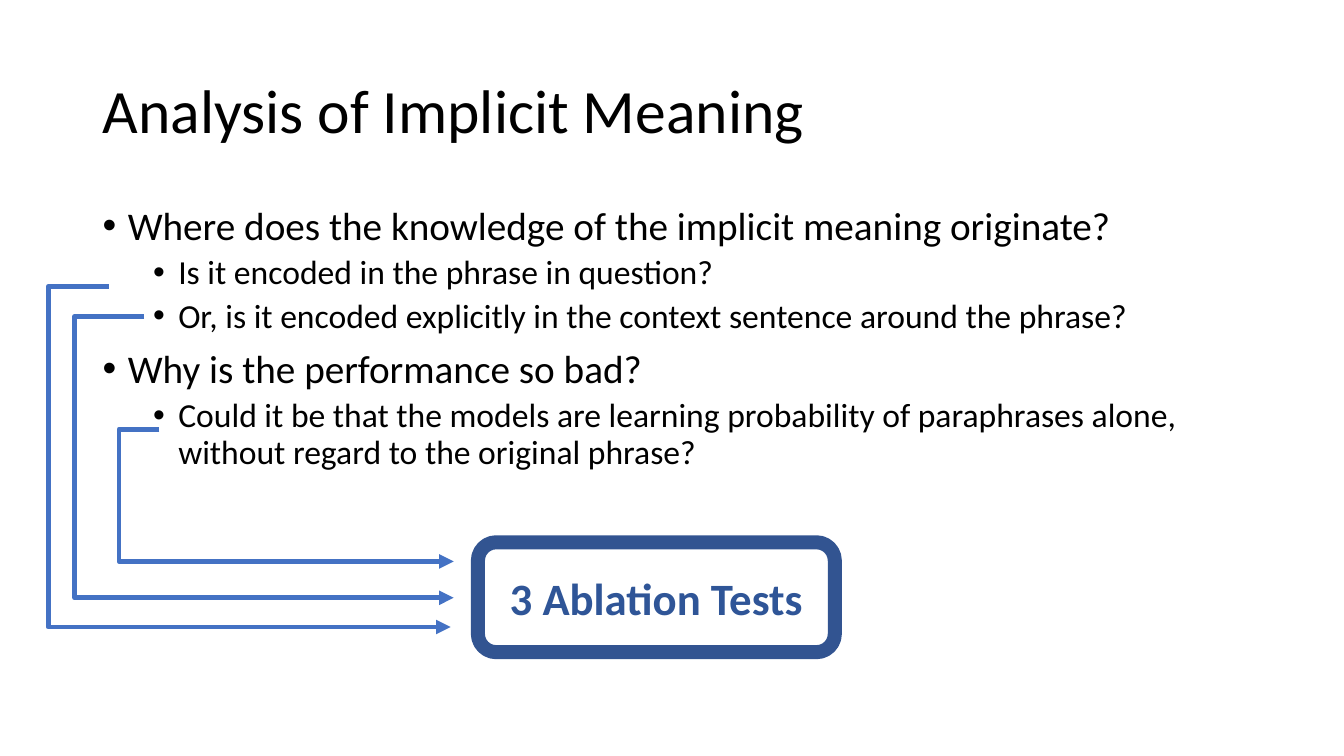
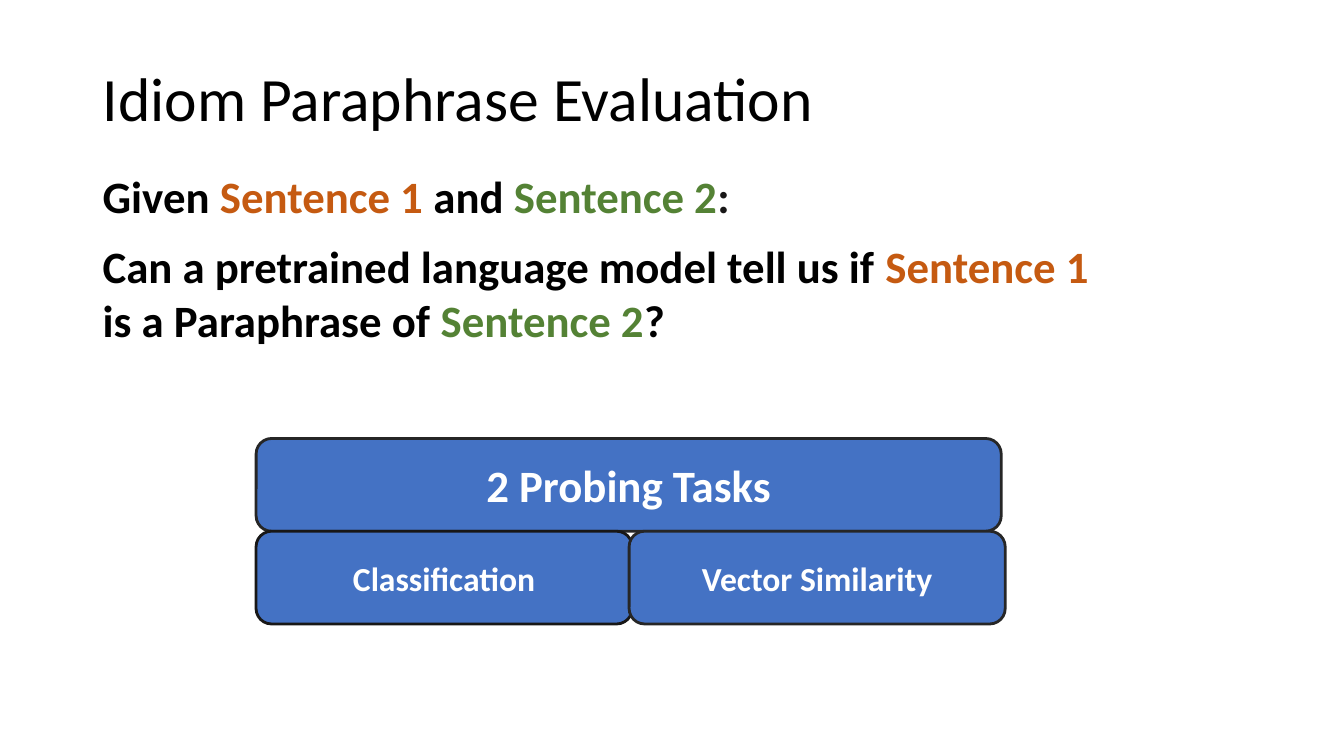
import pptx
import pptx.util
import pptx.dml.color
import pptx.enum.shapes
import pptx.enum.text
import pptx.oxml
import pptx.oxml.ns
from pptx.util import Inches

COLORS = {
    "black": "000000", "ink": "181717", "edge": "262626", "white": "FFFFFF",
    "blue": "4472C4", "frame": "325491", "navy": "2F5597",
    "rust": "C55A11", "green": "548235",
}
FONT = "Calibri"
MIDDLE = pptx.enum.text.MSO_ANCHOR.MIDDLE
CENTER = pptx.enum.text.PP_ALIGN.CENTER
LEFT = 0.92


def color(name):
    return pptx.dml.color.RGBColor.from_string(COLORS[name])


def node(parent, tag, **attrs):
    child = pptx.oxml.parse_xml(f"<a:{tag} {pptx.oxml.ns.nsdecls('a')}/>")
    for key, value in attrs.items():
        child.set(key, str(value))
    parent.append(child)


def write(frame, text, size=28, ink="black", bold=False, align=None,
          line=None, before=0, indent=None):
    """Add a paragraph; text is a string or a list of (string, color) runs.

    An indent, in inches, also gives the paragraph a hanging bullet.
    """
    first = frame.paragraphs[0]
    para = frame.add_paragraph() if first.runs else first
    para.alignment = align
    para.line_spacing = line
    if first.runs:
        para.space_before = pptx.util.Pt(before)
    if indent is not None:
        props = para._p.get_or_add_pPr()
        props.set("marL", str(Inches(indent)))
        props.set("indent", str(Inches(-0.25)))
        node(props, "buFont", typeface="Arial")
        node(props, "buChar", char="•")
    for part, tint in [(text, ink)] if isinstance(text, str) else text:
        run = para.add_run()
        run.text = part
        run.font.name = FONT
        run.font.size = pptx.util.Pt(size)
        run.font.bold = bold
        run.font.color.rgb = color(tint)


class Deck:
    def __init__(self):
        self.show = pptx.Presentation()
        self.show.slide_width = Inches(13.33)
        self.show.slide_height = Inches(7.5)
        self.slide = None

    def start(self, title, height):
        self.slide = self.show.slides.add_slide(self.show.slide_layouts[6])
        frame = self.box(LEFT, 0.4, 11.5, height)
        frame.vertical_anchor = MIDDLE
        write(frame, title, size=44, line=0.9)

    def box(self, left, top, width, height):
        shape = self.slide.shapes.add_textbox(
            Inches(left), Inches(top), Inches(width), Inches(height))
        shape.text_frame.word_wrap = True
        return shape.text_frame

    def bullets(self, frame, items):
        for level, text in items:
            write(frame, text, size=28 - 4 * level, line=0.9,
                  before=10 - 5 * level, indent=0.25 + 0.5 * level)

    def card(self, text, left, top, width, height, fill="blue", edge="edge",
             weight=2, size=24, ink="white"):
        shape = self.slide.shapes.add_shape(
            pptx.enum.shapes.MSO_SHAPE.ROUNDED_RECTANGLE,
            Inches(left), Inches(top), Inches(width), Inches(height))
        shape.shadow.inherit = False
        if fill:
            shape.fill.solid()
            shape.fill.fore_color.rgb = color(fill)
        else:
            shape.fill.background()
        shape.line.color.rgb = color(edge)
        shape.line.width = pptx.util.Pt(weight)
        frame = shape.text_frame
        frame.word_wrap = True
        frame.vertical_anchor = MIDDLE
        write(frame, text, size=size, ink=ink, bold=True, align=CENTER)

    def elbow(self, x1, y1, x2, y2, turn):
        """Draw an arrow that runs back to x = turn before it heads for x2."""
        link = self.slide.shapes.add_connector(
            pptx.enum.shapes.MSO_CONNECTOR.ELBOW,
            Inches(x1), Inches(y1), Inches(x2), Inches(y2))
        link.line.color.rgb = color("blue")
        link.line.width = pptx.util.Pt(3.5)
        node(link.get_or_add_ln(), "tailEnd", type="triangle")
        props = link.element.spPr
        node(props, "effectLst")
        ratio = round((turn - x1) / (x2 - x1) * 100000)
        guides = props.find(".//" + pptx.oxml.ns.qn("a:avLst"))
        node(guides, "gd", name="adj1", fmla=f"val {ratio}")


def analysis(deck):
    deck.start("Analysis of Implicit Meaning", 1.45)
    deck.bullets(deck.box(LEFT, 2, 11.5, 2.96), [
        (0, "Where does the knowledge of the implicit meaning originate?"),
        (1, "Is it encoded in the phrase in question?"),
        (1, "Or, is it encoded explicitly in the context sentence around "
            "the phrase?"),
        (0, "Why is the performance so bad?"),
        (1, "Could it be that the models are learning probability of "
            "paraphrases alone, without regard to the original phrase?"),
    ])
    deck.card("3 Ablation Tests", 4.74, 5.38, 3.54, 1.09, fill=None,
              edge="frame", weight=10, size=32, ink="navy")
    for x1, y1, x2, y2, turn in [(1.58, 4.26, 4.5, 5.57, 1.18),
                                 (1.43, 3.14, 4.5, 5.93, 0.74),
                                 (1.08, 2.84, 4.47, 6.22, 0.48)]:
        deck.elbow(x1, y1, x2, y2, turn)


def tasks(deck):
    deck.start("Idiom Paraphrase Evaluation", 1.22)
    frame = deck.box(LEFT, 1.62, 10.31, 2.42)
    one, two = ("Sentence 1 ", "rust"), ("Sentence 2", "green")
    write(frame, [("Given ", "black"), one, ("and ", "black"), two,
                  (":", "ink")], size=32, bold=True)
    write(frame, [("Can a pretrained language model tell us if ", "black"),
                  one, ("is a Paraphrase of ", "black"), two,
                  ("?", "black")], size=32, bold=True, before=12)
    left, top, high = 2.54, 4.35, 0.92
    deck.card("2 Probing Tasks", left, top, 7.39, high, size=32)
    for col, (text, edge) in enumerate([("Classification", "ink"),
                                        ("Vector Similarity", "edge")]):
        deck.card(text, left + 3.7 * col, top + high, 3.73, high, edge=edge)


def main():
    deck = Deck()
    analysis(deck)
    tasks(deck)
    deck.show.save("out.pptx")


if __name__ == "__main__":
    main()
